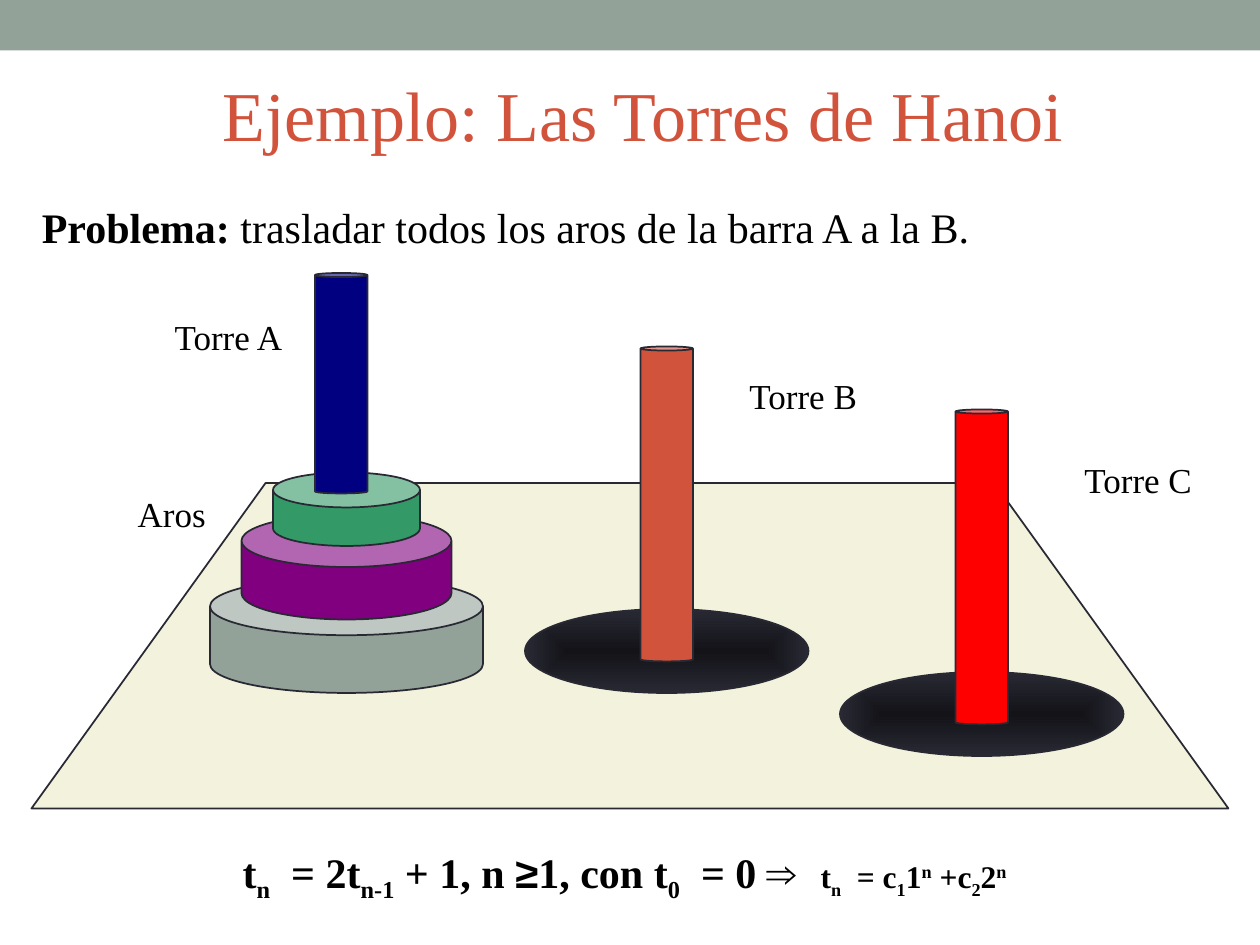
from dataclasses import dataclass

from lxml.etree import SubElement
from pptx import Presentation
from pptx.dml.color import RGBColor
from pptx.enum.shapes import MSO_SHAPE
from pptx.enum.text import MSO_ANCHOR, MSO_AUTO_SIZE, PP_ALIGN
from pptx.oxml.ns import qn
from pptx.util import Pt

EMU_PER_PX = 7620
SLIDE_SIZE = (1200, 900)


@dataclass(frozen=True)
class Theme:
    font: str = "Times New Roman"
    symbol_font: str = "Arial"
    text: str = "000000"
    accent: str = "D2533C"
    bar: str = "93A299"
    ground: str = "F3F2DC"
    outline: str = "292934"
    base_centre: str = "131318"
    title_size: int = 40
    body_size: int = 24
    label_size: int = 20
    solution_size: int = 18


THEME = Theme()
SUBSCRIPT, NORMAL, SUPERSCRIPT = -25000, 0, 30000

TITLE = "Ejemplo: Las Torres de Hanoi"
PROBLEM = [("Problema: ", True), ("trasladar todos los aros de la barra A a la B.", False)]
RECURRENCE = [
    ("t", NORMAL), ("n", SUBSCRIPT), ("  = 2t", NORMAL), ("n-1", SUBSCRIPT),
    (" + 1, n ", NORMAL), ("≥", NORMAL), ("1, con t", NORMAL), ("0", SUBSCRIPT),
    ("  = 0 ", NORMAL), ("⇒  ", NORMAL),
]
SOLUTION = [
    ("t", NORMAL), ("n", SUBSCRIPT), ("  = c", NORMAL), ("1", SUBSCRIPT),
    ("1", NORMAL), ("n", SUPERSCRIPT), (" +c", NORMAL), ("2", SUBSCRIPT),
    ("2", NORMAL), ("n", SUPERSCRIPT),
]
SYMBOLS = {"≥", "⇒"}
LABELS = [
    ("Aros", 119, 463, 89),
    ("Torre A", 152, 294, 131),
    ("Torre B", 701, 350, 128),
    ("Torre C", 1020, 430, 128),
]
LABEL_HEIGHT = 53

GROUND = [(30, 770), (253, 460), (947, 460), (1170, 770)]
RING_CENTRE = 330
RINGS = [(550, 260, 110, 0.5, THEME.bar), (490, 200, 100, 0.5, "800080"), (450, 140, 70, 0.476, "339966")]
POLE_WIDTH, POLE_CURVE = 50, 0.078
BASE_WIDTH, BASE_HEIGHT, BASE_DROP = 270, 80, 250
POLES = [
    (325, 260, 210, "000080", False),
    (635, 330, 300, THEME.accent, True),
    (935, 390, 300, "FF0000", True),
]


def px(*values):
    return [value * EMU_PER_PX for value in values]


def color(value):
    return RGBColor.from_string(value)


def style_shape(shape, fill, outlined=True):
    shape.shadow.inherit = False
    shape.fill.solid()
    shape.fill.fore_color.rgb = color(fill)
    if outlined:
        shape.line.color.rgb = color(THEME.outline)
        shape.line.width = Pt(1)
    else:
        shape.line.fill.background()


def add_can(slide, centre, top, width, height, curve, fill):
    can = slide.shapes.add_shape(MSO_SHAPE.CAN, *px(centre - width // 2, top, width, height))
    can.adjustments[0] = curve
    style_shape(can, fill)


def add_base(slide, centre, top):
    box = px(centre - BASE_WIDTH // 2, top, BASE_WIDTH, BASE_HEIGHT)
    base = slide.shapes.add_shape(MSO_SHAPE.OVAL, *box)
    style_shape(base, THEME.outline)
    base.fill.gradient()
    for stop, stop_color in zip(base.fill.gradient_stops, (THEME.base_centre, THEME.outline)):
        stop.color.rgb = color(stop_color)
    gradient = base._element.spPr.find(qn("a:gradFill"))
    gradient.remove(gradient.find(qn("a:lin")))
    rectangle = SubElement(gradient, qn("a:path"), {"path": "rect"})
    SubElement(rectangle, qn("a:fillToRect"), {side: "50000" for side in "ltrb"})


def add_run(paragraph, text, size, bold=False, baseline=NORMAL, font_color=THEME.text):
    run = paragraph.add_run()
    run.text = text
    run.font.name = THEME.symbol_font if text.strip() in SYMBOLS else THEME.font
    run.font.size = Pt(size)
    run.font.bold = bold
    run.font.color.rgb = color(font_color)
    if baseline:
        run._r.get_or_add_rPr().set("baseline", str(baseline))


def add_text_box(slide, box, align=PP_ALIGN.LEFT, wrap=True, anchor=MSO_ANCHOR.TOP):
    frame = slide.shapes.add_textbox(*px(*box)).text_frame
    frame.word_wrap = wrap
    frame.auto_size = MSO_AUTO_SIZE.SHAPE_TO_FIT_TEXT
    frame.vertical_anchor = anchor
    frame.paragraphs[0].alignment = align
    return frame.paragraphs[0]


def add_title(slide):
    title = slide.shapes.title
    title.left, title.top, title.width, title.height = px(200, 50, 1000, 116)
    title.text_frame.vertical_anchor = MSO_ANCHOR.MIDDLE
    paragraph = title.text_frame.paragraphs[0]
    paragraph.alignment = PP_ALIGN.LEFT
    add_run(paragraph, TITLE, THEME.title_size, font_color=THEME.accent)


def add_scene(slide):
    bar = slide.shapes.add_shape(MSO_SHAPE.RECTANGLE, *px(0, 0, SLIDE_SIZE[0], 48))
    style_shape(bar, THEME.bar, outlined=False)
    builder = slide.shapes.build_freeform(*GROUND[0], scale=EMU_PER_PX)
    builder.add_line_segments(GROUND[1:], close=True)
    style_shape(builder.convert_to_shape(), THEME.ground)
    for top, width, height, curve, fill in RINGS:
        add_can(slide, RING_CENTRE, top, width, height, curve, fill)
    for centre, top, height, fill, has_base in POLES:
        if has_base:
            add_base(slide, centre, top + BASE_DROP)
        add_can(slide, centre, top, POLE_WIDTH, height, POLE_CURVE, fill)


def add_texts(slide):
    problem = add_text_box(slide, (28, 186, 1160, 60))
    for text, bold in PROBLEM:
        add_run(problem, text, THEME.body_size, bold)
    equation = add_text_box(slide, (20, 800, 1150, 67), PP_ALIGN.CENTER)
    equation.space_after = Pt(6)
    for runs, size in ((RECURRENCE, THEME.body_size), (SOLUTION, THEME.solution_size)):
        for text, baseline in runs:
            add_run(equation, text, size, True, baseline)
    for text, left, top, width in LABELS:
        box = (left, top, width, LABEL_HEIGHT)
        label = add_text_box(slide, box, PP_ALIGN.CENTER, False, MSO_ANCHOR.MIDDLE)
        add_run(label, text, THEME.label_size)


def main():
    presentation = Presentation()
    presentation.slide_width, presentation.slide_height = px(*SLIDE_SIZE)
    slide = presentation.slides.add_slide(presentation.slide_layouts[5])
    add_scene(slide)
    add_title(slide)
    add_texts(slide)
    presentation.save("out.pptx")


if __name__ == "__main__":
    main()
